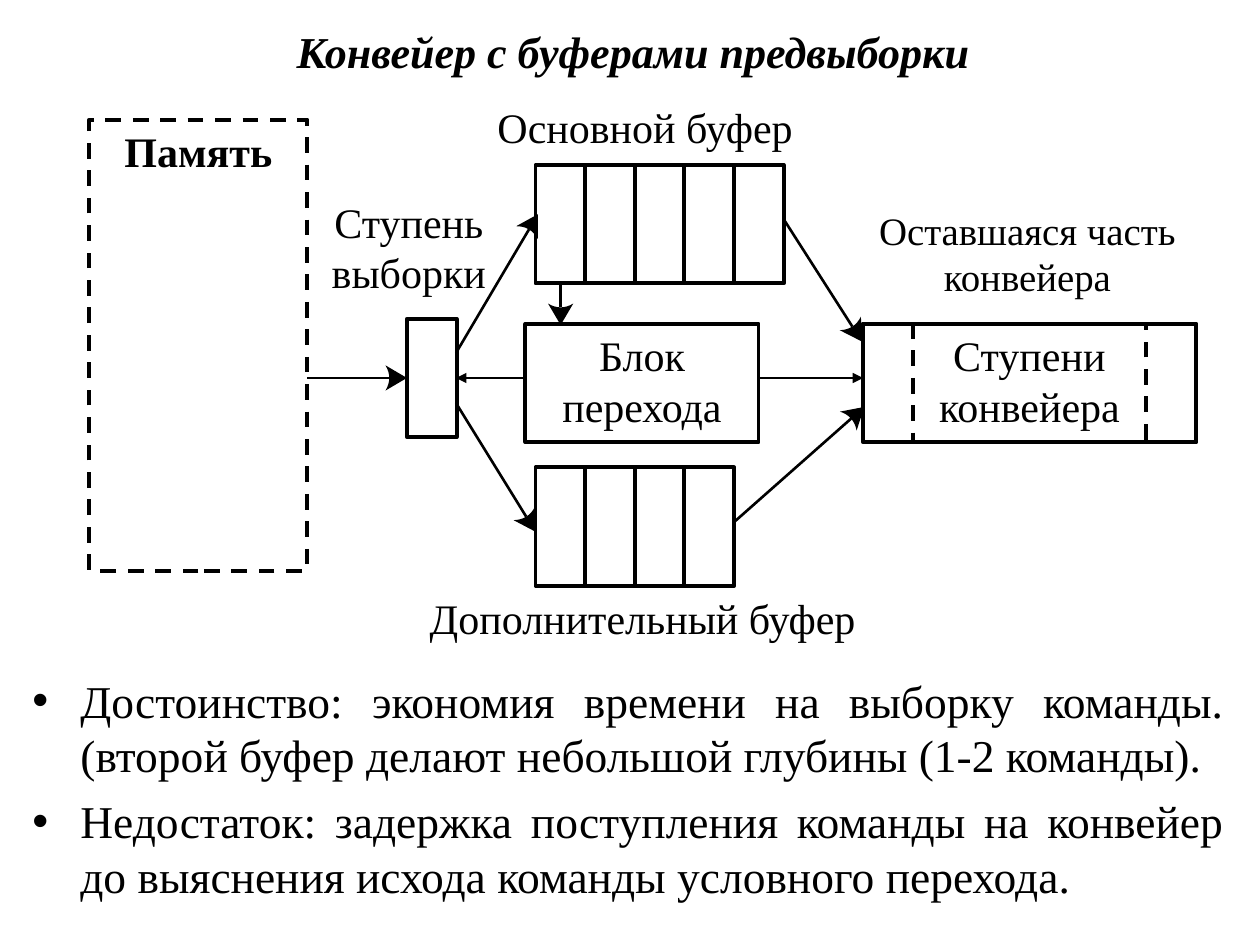
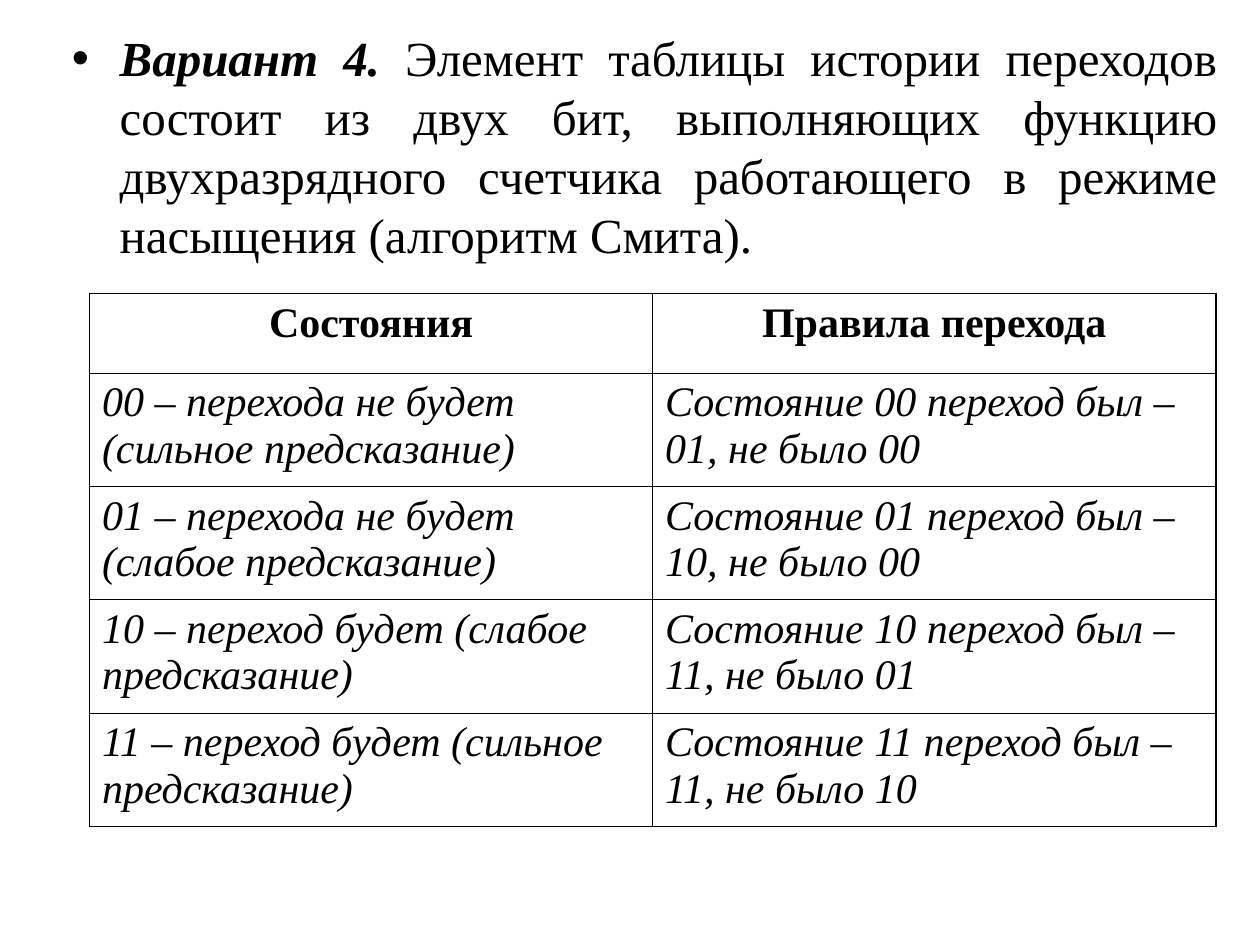
import math

from lxml import etree
from pptx import Presentation
from pptx import util as u
from pptx.dml.color import RGBColor
from pptx.enum import dml, shapes, text
from pptx.oxml import ns

BLACK = RGBColor(0, 0, 0)
SERIF = "Times New Roman"
COLUMNS, ROWS = 10, 7.5  # slide grid: one unit is one inch
THICK, MEDIUM, THIN = 2.24, 1.5, 0.74
OUTER, INNER = 1.08, 0.45
LABEL_SIZE = 24
CELL_WIDTH, CELL_HEIGHT = 1.97 / 5, 0.94
BUFFER_LEFT, MAIN_TOP, EXTRA_TOP = 4.25, 1.31, 3.71
STAGE_TOP, AXIS = 2.57, 3

ADVANTAGES = [
    [("Достоинство: экономия времени на выборку команды. "
      "(второй буфер делают небольшой глубины (1-2 команды).", False)],
    [("Недостаток: задержка поступления команды на конвейер "
      "до выяснения исхода команды условного перехода.", False)],
]
VARIANT = [[
    ("Вариант 4.", True),
    (" Элемент таблицы истории переходов состоит из двух бит, выполняющих "
     "функцию двухразрядного счетчика работающего в режиме насыщения "
     "(алгоритм Смита).", False),
]]
STATES = [
    ("Состояния", "Правила перехода"),
    ("00 – перехода не будет (сильное предсказание)",
     "Состояние 00 переход был – 01, не было 00"),
    ("01 – перехода не будет (слабое предсказание)",
     "Состояние 01 переход был – 10, не было 00"),
    ("10 – переход будет (слабое предсказание)",
     "Состояние 10 переход был – 11, не было 01"),
    ("11 – переход будет (сильное предсказание)",
     "Состояние 11 переход был – 11, не было 10"),
]


def grid(*values):
    """Turn grid units into slide lengths."""
    return [u.Inches(value) for value in values]


def place(item, left, top, width, height):
    """Move and resize an object."""
    item.left, item.top, item.width, item.height = grid(left, top, width, height)


def style_run(span, size, bold=False, italic=False):
    """Format one run in the shared typeface."""
    font = span.font
    font.name, font.size = SERIF, u.Pt(size)
    font.bold, font.italic = bold, italic
    font.color.rgb = BLACK


def write(frame, words, size=LABEL_SIZE, bold=False, italic=False,
          align=text.PP_ALIGN.CENTER):
    """Fill a text frame with one formatted paragraph."""
    frame.text = words
    frame.word_wrap = True
    para = frame.paragraphs[0]
    para.alignment = align
    style_run(para.runs[0], size, bold, italic)
    return para


def add_label(page, words, area, size=LABEL_SIZE):
    """Add a centred caption."""
    box = page.shapes.add_textbox(*grid(*area))
    write(box.text_frame, words, size)


def add_box(page, area, words="", dashed=False, bold=False):
    """Add an unfilled rectangle with optional text at its top."""
    box = page.shapes.add_shape(shapes.MSO_SHAPE.RECTANGLE, *grid(*area))
    box.shadow.inherit = False
    box.fill.background()
    box.line.color.rgb = BLACK
    box.line.width = u.Pt(THICK)
    if dashed:
        box.line.dash_style = dml.MSO_LINE.DASH
    if words:
        write(box.text_frame, words, bold=bold)
        box.text_frame.vertical_anchor = text.MSO_ANCHOR.TOP


def add_buffer(page, top, count):
    """Add a row of adjoining buffer cells."""
    for index in range(count):
        left = BUFFER_LEFT + index * CELL_WIDTH
        add_box(page, (left, top, CELL_WIDTH, CELL_HEIGHT))


def add_line(page, start, end, width, arrow=False):
    """Add a straight connector, with a small arrowhead if asked."""
    line = page.shapes.add_connector(shapes.MSO_CONNECTOR.STRAIGHT,
                                     *grid(*start, *end))
    line.line.color.rgb = BLACK
    line.line.width = u.Pt(width)
    if arrow:
        etree.SubElement(line.line._get_or_add_ln(), ns.qn("a:tailEnd"),
                         type="triangle")
    etree.SubElement(line._element.spPr, ns.qn("a:effectLst"))


def add_big_arrow(page, start, tip, length=0.17, half=0.1, hollow=0.03):
    """Add a line that ends in a large head with a curved back."""
    reach = math.dist(start, tip)
    along = [(b - a) / reach for a, b in zip(start, tip)]

    def point(back, side):
        return (tip[0] - back * along[0] - side * along[1],
                tip[1] - back * along[1] + side * along[0])

    add_line(page, start, point(length - hollow, 0), MEDIUM)
    steps = [step / 4 for step in range(-4, 5)]
    curve = [point(length - hollow * (1 - s * s), half * s) for s in steps]
    builder = page.shapes.build_freeform(*grid(*tip), scale=1.0)
    builder.add_line_segments([grid(*spot) for spot in curve], close=True)
    head = builder.convert_to_shape()
    head.shadow.inherit = False
    head.fill.solid()
    head.fill.fore_color.rgb = BLACK
    head.line.fill.background()


def write_bullets(frame, items, size):
    """Write justified bullets from lists of (words, emphasis) spans."""
    frame.word_wrap = True
    frame.auto_size = text.MSO_AUTO_SIZE.NONE
    frame.vertical_anchor = text.MSO_ANCHOR.TOP
    for index, spans in enumerate(items):
        para = frame.add_paragraph() if index else frame.paragraphs[0]
        para.alignment = text.PP_ALIGN.JUSTIFY
        para.space_before = u.Pt(size / 4)
        for words, strong in spans:
            span = para.add_run()
            span.text = words
            style_run(span, size, strong, strong)
        props = para._p.get_or_add_pPr()
        props.set("marL", str(u.Inches(0.38)))
        props.set("indent", str(u.Inches(-0.38)))
        colour = etree.SubElement(props, ns.qn("a:buClr"))
        etree.SubElement(colour, ns.qn("a:srgbClr"), val=str(BLACK))
        etree.SubElement(props, ns.qn("a:buFont"), typeface="Arial")
        etree.SubElement(props, ns.qn("a:buChar"), char="•")


def set_borders(cell, widths):
    """Draw the left, right, top and bottom borders of a cell."""
    props = cell._tc.get_or_add_tcPr()
    for index, (side, width) in enumerate(zip("LRTB", widths)):
        edge = etree.Element(ns.qn("a:ln" + side), w=str(u.Pt(width)))
        fill = etree.SubElement(edge, ns.qn("a:solidFill"))
        etree.SubElement(fill, ns.qn("a:srgbClr"), val=str(BLACK))
        props.insert(index, edge)


def add_state_table(page, rows, left, top, width, heights):
    """Add the table of states with a heavier outer frame."""
    count = len(rows[0])
    table = page.shapes.add_table(
        len(rows), count, *grid(left, top, width, sum(heights))).table
    table.first_row = table.horz_banding = False
    for r, (row, height) in enumerate(zip(rows, heights)):
        table.rows[r].height = u.Inches(height)
        for c, words in enumerate(row):
            cell = table.cell(r, c)
            cell.fill.background()
            align = text.PP_ALIGN.LEFT if r else text.PP_ALIGN.CENTER
            para = write(cell.text_frame, words, bold=r == 0, italic=r > 0,
                         align=align)
            para.space_before = u.Pt(6)
            outside = (c == 0, c == count - 1, r == 0, r == len(rows) - 1)
            set_borders(cell, [OUTER if out else INNER for out in outside])


def build_pipeline_slide(deck):
    """Pipeline diagram with prefetch buffers."""
    page = deck.slides.add_slide(deck.slide_layouts[5])
    title = page.shapes.title
    place(title, 0.05, 0.17, COLUMNS - 0.05, 0.55)
    para = write(title.text_frame, "Конвейер с буферами предвыборки",
                 25.2, True, True)
    para.line_spacing = 0.8
    title.text_frame.auto_size = text.MSO_AUTO_SIZE.NONE
    title.text_frame.vertical_anchor = text.MSO_ANCHOR.MIDDLE

    notes = page.shapes.add_textbox(*grid(0.16, 5.29, 9.66, 1.97))
    write_bullets(notes.text_frame, ADVANTAGES, 26)

    add_label(page, "Ступень выборки", (2.32, 1.51, 1.85, 1.02))
    add_label(page, "Оставшаяся часть конвейера", (6.58, 1.59, 3.15, 0.86), 22.2)
    add_label(page, "Основной буфер", (3.7, 0.76, 2.84, 0.55))
    add_label(page, "Дополнительный буфер", (3.11, 4.65, 3.98, 0.55))

    add_buffer(page, MAIN_TOP, 5)
    add_buffer(page, EXTRA_TOP, 4)
    add_box(page, (0.71, 0.95, 1.73, 3.58), "Память", dashed=True, bold=True)
    add_box(page, (3.23, 2.53, CELL_WIDTH, CELL_HEIGHT))
    add_box(page, (4.17, STAGE_TOP, 1.85, CELL_HEIGHT), "Блок перехода")
    add_box(page, (6.85, STAGE_TOP, 2.64, CELL_HEIGHT), "Ступени конвейера")
    for left in (6.85, 9.49 - CELL_WIDTH):
        add_box(page, (left, STAGE_TOP, CELL_WIDTH, CELL_HEIGHT), dashed=True)

    for start, tip in (
        ((2.44, AXIS), (3.23, AXIS)),
        ((3.62, 2.8), (4.27, 1.7)),
        ((3.62, 3.2), (4.25, 4.22)),
        ((4.45, 2.25), (4.45, 2.58)),
        ((6.22, 1.74), (6.84, 2.71)),
        ((5.83, 4.14), (6.86, 3.23)),
    ):
        add_big_arrow(page, start, tip)
    add_line(page, (4.17, AXIS), (3.62, AXIS), THIN, arrow=True)
    add_line(page, (6.02, AXIS), (6.85, AXIS), THIN, arrow=True)


def build_history_slide(deck):
    """Two-bit branch history: rule and table of states."""
    page = deck.slides.add_slide(deck.slide_layouts[1])
    title = page.shapes.title
    title._element.getparent().remove(title._element)
    body = page.placeholders[1]
    place(body, 0.47, 0.17, 9.29, 2.01)
    write_bullets(body.text_frame, VARIANT, 28)
    add_state_table(page, STATES, 0.71, 2.33, 8.94, [0.63] + [0.9] * 4)


def main():
    """Build and save the deck."""
    deck = Presentation()
    deck.slide_width, deck.slide_height = grid(COLUMNS, ROWS)
    build_pipeline_slide(deck)
    build_history_slide(deck)
    deck.save("out.pptx")


main()
